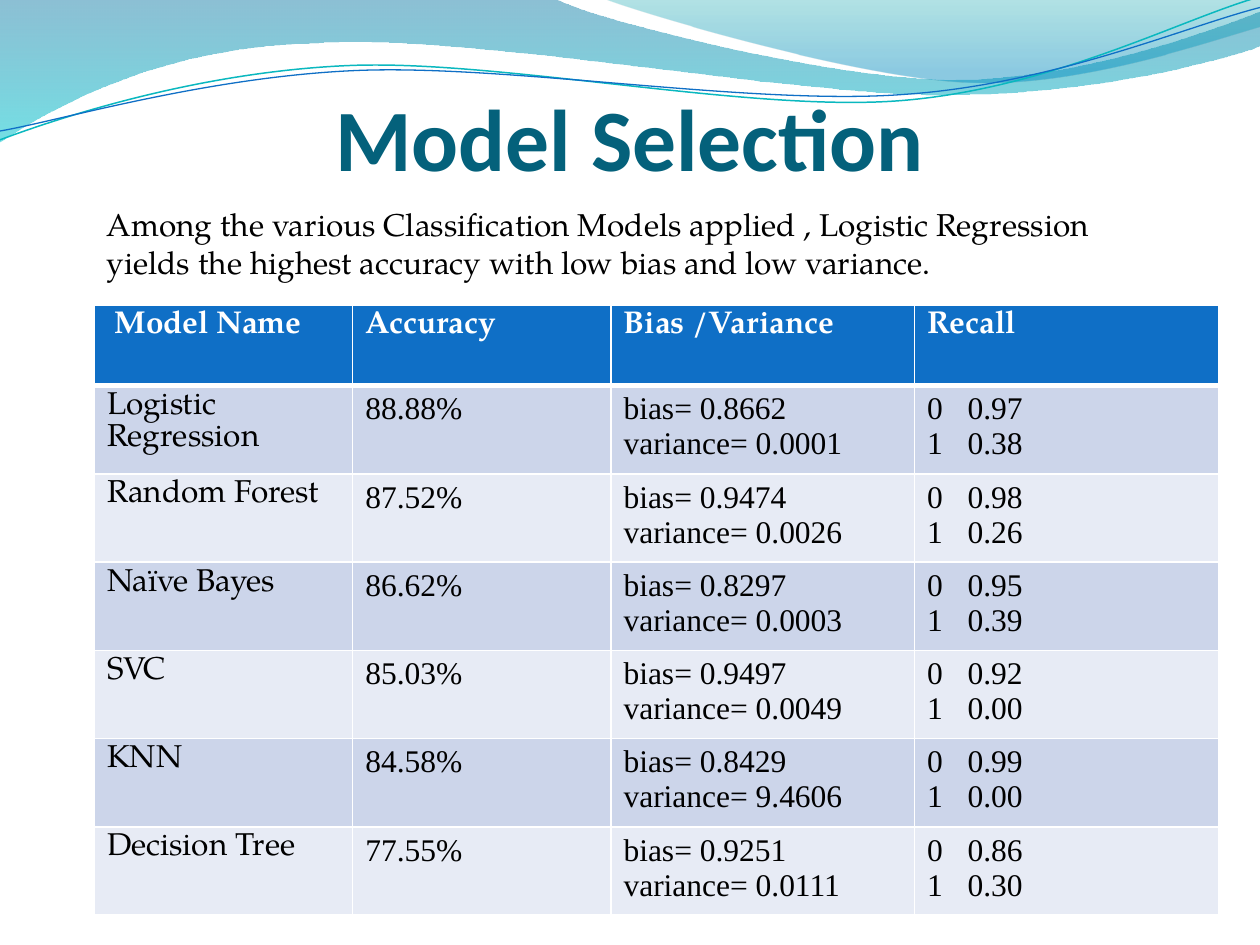
from dataclasses import dataclass
from math import cos, radians, sin
from typing import NamedTuple

from lxml.etree import SubElement
from pptx import Presentation
from pptx.dml.color import RGBColor
from pptx.enum.text import MSO_ANCHOR, MSO_AUTO_SIZE, PP_ALIGN
from pptx.oxml import parse_xml
from pptx.oxml.ns import nsdecls, qn
from pptx.util import Emu, Inches, Pt


@dataclass(frozen=True)
class Theme:
    """Colours, fonts and type sizes of the slide."""
    title: str = "04617B"
    text: str = "000000"
    light: str = "FFFFFF"
    header: str = "0F6FC6"
    bands: tuple = ("CCD5EA", "E7EBF5")
    heading_font: str = "Calibri"
    body_font: str = "TeX Gyre Pagella"
    figure_font: str = "Times New Roman"
    title_size: int = 50
    body_size: int = 18


class Stop(NamedTuple):
    """One gradient stop: share of the length, colour, opacity in percent."""
    position: float
    color: str
    opacity: int


class Wave(NamedTuple):
    """An outline of Bezier chains joined by straight lines.

    Each chain holds a start point followed by three points per curve.
    """
    chains: tuple
    stops: tuple = ()
    line_color: str = ""
    line_width: float = 0
    rotation: float = 0
    pivot: tuple = (0, 0)


class Model(NamedTuple):
    """One row of results."""
    name: str
    accuracy: str
    bias: str
    variance: str
    recall_0: str
    recall_1: str


THEME = Theme()
WAVES = (
    Wave((((0, 0),),
          ((4.4, -0.01), (4.76, 0.17), (6.64, 0.63), (7.58, 0.63),
           (8.53, 0.63), (9.58, 0.26), (10, 0.09)),
          ((10.01, 0.36), (9.83, 0.44), (8.7, 0.76), (7.46, 0.75),
           (6.22, 0.75), (3.82, 0.28), (2.57, 0.34),
           (1.29, 0.36), (0.46, 0.83), (-0.01, 1.13))),
         (Stop(0, "0074A1", 45), Stop(1, "00C6CF", 55))),
    Wave((((4.79, -0.01), (5.09, 0.11), (6.82, 0.62), (7.69, 0.65),
           (8.56, 0.69), (9.61, 0.32), (10, 0.21)),
          ((10, 0),)),
         (Stop(0, "00A1A9", 30), Stop(0.8, "008BBF", 45))),
    Wave((((0, 1.11), (0.48, 0.93), (1.58, 0.57), (2.77, 0.52),
           (3.95, 0.47), (5.93, 0.89), (7.13, 0.8),
           (8.33, 0.71), (9.38, 0.15), (9.98, -0.02)),),
         line_color="0AB8BF", line_width=0.85, rotation=-2.7, pivot=(4.99, 0.57)),
    Wave((((0, 1.04), (0.47, 0.96), (1.64, 0.61), (2.83, 0.56),
           (4.03, 0.51), (5.97, 0.84), (7.17, 0.75),
           (8.36, 0.67), (9.41, 0.21), (10, 0.06)),),
         line_color="0F6FC6", line_width=0.75, rotation=-2.7, pivot=(5, 0.58)),
)
HEADERS = ("Model Name", "Accuracy", "Bias /Variance", "Recall")
MODELS = (
    Model("Logistic Regression", "88.88%", "0.8662", "0.0001", "0.97", "0.38"),
    Model("Random Forest", "87.52%", "0.9474", "0.0026", "0.98", "0.26"),
    Model("Naïve Bayes", "86.62%", "0.8297", "0.0003", "0.95", "0.39"),
    Model("SVC", "85.03%", "0.9497", "0.0049", "0.92", "0.00"),
    Model("KNN", "84.58%", "0.8429", "9.4606", "0.99", "0.00"),
    Model("Decision Tree", "77.55%", "0.9251", "0.0111", "0.86", "0.30"),
)
COLUMN_WIDTHS = (2.05, 2.05, 2.41, 2.41)
HEADER_HEIGHT, ROW_HEIGHT = 0.64, 0.7


def turn_back(point: tuple, wave: Wave) -> tuple:
    """Return a point in EMU as it lies before the wave is rotated."""
    angle = radians(-wave.rotation)
    x, y = point[0] - wave.pivot[0], point[1] - wave.pivot[1]
    return (Inches(wave.pivot[0] + x * cos(angle) - y * sin(angle)),
            Inches(wave.pivot[1] + x * sin(angle) + y * cos(angle)))


def bend(shape, wave: Wave) -> None:
    """Join the points of each chain, three by three, into Bezier curves."""
    steps = iter(list(shape._element.iter(qn("a:moveTo"), qn("a:lnTo"))))
    for chain in wave.chains:
        next(steps)
        for _ in range(len(chain) // 3):
            trio = [next(steps) for _ in range(3)]
            curve = parse_xml(f'<a:cubicBezTo {nsdecls("a")}/>')
            trio[0].addprevious(curve)
            for step in trio:
                curve.append(step[0])
                step.getparent().remove(step)


def draw_wave(slide, wave: Wave) -> None:
    """Draw a gradient wave, or an open line when it has no stops."""
    points = [turn_back(point, wave) for chain in wave.chains for point in chain]
    builder = slide.shapes.build_freeform(*points[0], scale=1.0)
    builder.add_line_segments(points[1:], close=bool(wave.stops))
    shape = builder.convert_to_shape()
    bend(shape, wave)
    shape.shadow.inherit = False
    if not wave.stops:
        shape.rotation = wave.rotation
        shape.fill.background()
        shape.line.color.rgb = RGBColor.from_string(wave.line_color)
        shape.line.width = Pt(wave.line_width)
        return
    shape.line.fill.background()
    shape.fill.gradient()
    shape.fill.gradient_angle = 270
    for target, stop in zip(shape.fill.gradient_stops, wave.stops):
        target.position = stop.position
        target.color.rgb = RGBColor.from_string(stop.color)
    for color, stop in zip(shape._element.spPr.iter(qn("a:srgbClr")), wave.stops):
        SubElement(color, qn("a:alpha"), val=str(stop.opacity * 1000))


def style(paragraph, font_name: str, size: int, color: str, bold: bool = False) -> None:
    """Set the font of a whole paragraph."""
    font = paragraph.font
    font.name, font.size, font.bold = font_name, Pt(size), bold
    font.color.rgb = RGBColor.from_string(color)


def add_text(slide, box: tuple, text: str):
    """Add a wrapping text box and return its frame."""
    frame = slide.shapes.add_textbox(*map(Inches, box)).text_frame
    frame.word_wrap = True
    frame.text = text
    return frame


def set_borders(cell, bottom: int) -> None:
    """Give a cell white borders, with its own bottom width in points."""
    properties = cell._tc.get_or_add_tcPr()
    for index, (side, width) in enumerate(zip("LRTB", (1, 1, 1, bottom))):
        properties.insert(index, parse_xml(
            f'<a:ln{side} {nsdecls("a")} w="{Pt(width)}"><a:solidFill>'
            f'<a:srgbClr val="{THEME.light}"/></a:solidFill></a:ln{side}>'))


def fill_cell(cell, text: str, row: int, column: int) -> None:
    """Write and style one cell according to its row and column."""
    header = row == 0
    cell.text = text
    cell.fill.solid()
    cell.fill.fore_color.rgb = RGBColor.from_string(
        THEME.header if header else THEME.bands[(row - 1) % 2])
    set_borders(cell, 3 if header else 1)
    if header and column == 0:
        cell.margin_left = Inches(0.16)
    font_name = THEME.body_font if header or column == 0 else THEME.figure_font
    for paragraph in cell.text_frame.paragraphs:
        if "\t" in text:
            tabs = SubElement(paragraph._p.get_or_add_pPr(), qn("a:tabLst"))
            SubElement(tabs, qn("a:tab"), pos=str(Inches(0.32)), algn="l")
        style(paragraph, font_name, THEME.body_size,
              THEME.light if header else THEME.text, header)


def add_results(slide) -> None:
    """Add the table of model results."""
    rows = [HEADERS] + [
        (model.name, model.accuracy,
         f"bias= {model.bias}\nvariance= {model.variance}",
         f"0\t{model.recall_0}\n1\t{model.recall_1}") for model in MODELS]
    height = HEADER_HEIGHT + ROW_HEIGHT * len(MODELS)
    table = slide.shapes.add_table(
        len(rows), len(HEADERS), Inches(0.75), Inches(2.42),
        Inches(sum(COLUMN_WIDTHS)), Inches(height)).table
    for column, width in zip(table.columns, COLUMN_WIDTHS):
        column.width = Inches(width)
    for row, texts in enumerate(rows):
        table.rows[row].height = Inches(ROW_HEIGHT if row else HEADER_HEIGHT)
        for column, text in enumerate(texts):
            fill_cell(table.cell(row, column), text, row, column)


presentation = Presentation()
presentation.slide_width, presentation.slide_height = Inches(10), Inches(7.5)
slide = presentation.slides.add_slide(presentation.slide_layouts[6])
for wave in WAVES:
    draw_wave(slide, wave)
title = add_text(slide, (0.5, 0.25, 9, 1.25), "Model Selection")
title.vertical_anchor = MSO_ANCHOR.BOTTOM
title.margin_left = title.margin_right = title.margin_bottom = Emu(0)
title.paragraphs[0].alignment = PP_ALIGN.CENTER
style(title.paragraphs[0], THEME.heading_font, THEME.title_size, THEME.title, True)
summary = add_text(
    slide, (0.75, 1.58, 8.42, 0.71),
    "Among the various Classification Models applied , Logistic Regression "
    "yields the highest accuracy with low bias and low variance.")
summary.auto_size = MSO_AUTO_SIZE.SHAPE_TO_FIT_TEXT
style(summary.paragraphs[0], THEME.body_font, THEME.body_size, THEME.text)
add_results(slide)
presentation.save("out.pptx")
